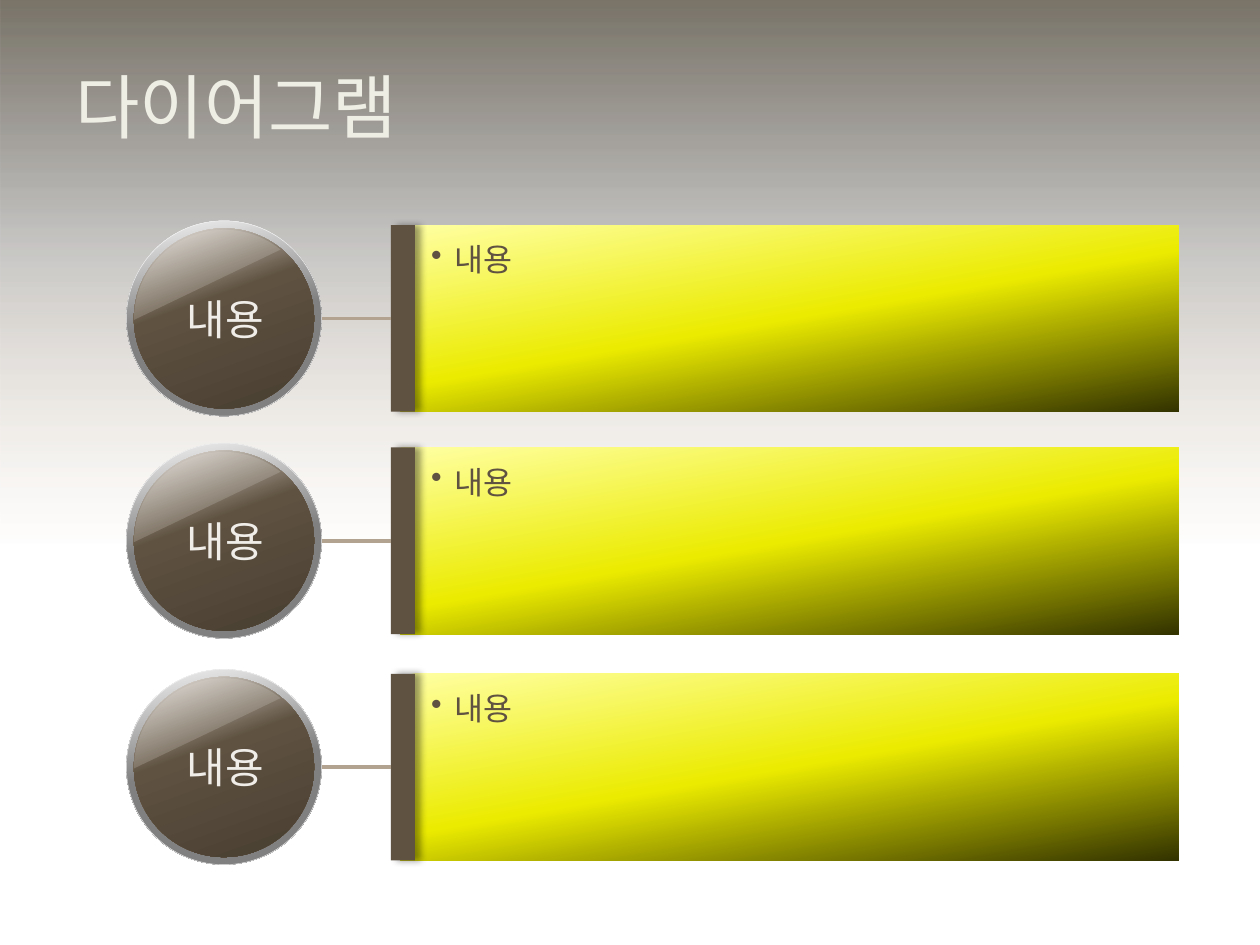
from dataclasses import dataclass

from lxml import etree
from pptx import Presentation
from pptx.dml.color import RGBColor
from pptx.enum.shapes import MSO_CONNECTOR, MSO_SHAPE
from pptx.enum.text import MSO_ANCHOR, PP_ALIGN
from pptx.oxml.ns import qn
from pptx.util import Pt

RECTANGLE, ELLIPSE, CHORD = MSO_SHAPE.RECTANGLE, MSO_SHAPE.OVAL, MSO_SHAPE.CHORD
STRAIGHT = MSO_CONNECTOR.STRAIGHT
TOP, MIDDLE = MSO_ANCHOR.TOP, MSO_ANCHOR.MIDDLE
LEFT, CENTER = PP_ALIGN.LEFT, PP_ALIGN.CENTER


@dataclass(frozen=True)
class Theme:
    title_font: str = "DejaVu Sans"
    body_font: str = "Arial"
    title_size: int = 40
    label_size: int = 24
    body_size: int = 18
    title_color: str = "EEEEE5"
    label_color: str = "F0EDE9"
    brown: str = "5F5241"
    link: str = "B2A390"
    gloss: str = "E3DDD5"
    rim: str = "F2F2F2"
    shadow: str = "000000"
    shade_stops: tuple = ((0, "1E1400", 59), (45, "0F0A00", 23), (100, "996633", 0))
    ring_stops: tuple = ((0, "F2F2F2", 100), (50, "808080", 100), (100, "808080", 100))
    disc_stops: tuple = ((0, "F1EEEA", 100), (40, "5F5241", 100), (100, "473E31", 100))
    panel_stops: tuple = ((0, "FFFFA3", 100), (50, "EBEB00", 100), (100, "333300", 100))


def add_color(parent, color, opacity):
    node = etree.SubElement(parent, qn("a:srgbClr"), val=color)
    if opacity < 100:
        etree.SubElement(node, qn("a:alpha"), val=str(opacity * 1000))


class SlideBuilder:
    def __init__(self, slide, theme):
        self.slide = slide
        self.theme = theme

    def format_text(self, frame, text, font, size, color, align, anchor):
        frame.word_wrap = True
        frame.vertical_anchor = anchor
        para = frame.paragraphs[0]
        para.text = text
        para.alignment = align
        para.font.name = font
        para.font.size = Pt(size)
        para.font.color.rgb = RGBColor.from_string(color)

    def title(self, text, left, top, width, height):
        box = self.slide.shapes.title
        box.left, box.top, box.width, box.height = map(Pt, (left, top, width, height))
        theme = self.theme
        self.format_text(box.text_frame, text, theme.title_font, theme.title_size,
                         theme.title_color, LEFT, MIDDLE)

    def shape(self, parent, kind, left, top, width, height):
        shape = parent.shapes.add_shape(kind, *map(Pt, (left, top, width, height)))
        shape.shadow.inherit = False
        shape.line.fill.background()
        return shape

    def solid(self, shape, color, opacity=100):
        shape.fill.solid()
        shape.fill.fore_color.rgb = RGBColor.from_string(color)
        if opacity < 100:
            node = shape.element.spPr.find(qn("a:solidFill"))[0]
            etree.SubElement(node, qn("a:alpha"), val=str(opacity * 1000))

    def gradient(self, shape, stops, angle):
        shape.fill.gradient()
        shape.fill.gradient_angle = 360 - angle
        stop_list = shape.element.spPr.find(qn("a:gradFill")).find(qn("a:gsLst"))
        for stop in list(stop_list):
            stop_list.remove(stop)
        for position, color, opacity in stops:
            stop = etree.SubElement(stop_list, qn("a:gs"), pos=str(position * 1000))
            add_color(stop, color, opacity)

    def shade(self, width, height):
        shape = self.shape(self.slide, RECTANGLE, 0, 0, width, height)
        self.gradient(shape, self.theme.shade_stops, 90)
        self.slide.shapes.title.element.addprevious(shape.element)

    def button(self, center_x, center_y):
        group = self.slide.shapes.add_group_shape()

        def circle(kind, size, drop=0):
            return self.shape(group, kind, center_x - size / 2,
                              center_y - size / 2 + drop, size, size)

        ring = circle(ELLIPSE, 111.6)
        self.gradient(ring, self.theme.ring_stops, 80)
        ring.line.color.rgb = RGBColor.from_string(self.theme.rim)
        ring.line.width = Pt(0.25)
        disc = circle(ELLIPSE, 103)
        self.gradient(disc, self.theme.disc_stops, 70)
        gloss = circle(CHORD, 103, 0.8)
        gloss.adjustments[0] = 53.946
        gloss.adjustments[1] = 131.298
        gloss.rotation = 90
        self.solid(gloss, self.theme.gloss, 20)

    def label(self, text, center_x, center_y, width=62, height=36):
        box = self.slide.shapes.add_textbox(
            Pt(center_x - width / 2), Pt(center_y - height / 2), Pt(width), Pt(height))
        theme = self.theme
        self.format_text(box.text_frame, text, theme.body_font, theme.label_size,
                         theme.label_color, CENTER, MIDDLE)
        box.text_frame.word_wrap = False

    def panel(self, text, center_y, height=106.6):
        theme = self.theme
        group = self.slide.shapes.add_group_shape()
        top = center_y - height / 2
        panel = self.shape(group, RECTANGLE, 229, top, 444.5, height)
        self.gradient(panel, theme.panel_stops, 80)
        frame = panel.text_frame
        frame.margin_left, frame.margin_top = Pt(17.3), Pt(8.6)
        frame.margin_right, frame.margin_bottom = Pt(7.2), Pt(3.6)
        properties = frame.paragraphs[0]._p.get_or_add_pPr()
        properties.set("marL", str(Pt(13.5)))
        properties.set("indent", str(-Pt(13.5)))
        etree.SubElement(properties, qn("a:buChar"), char="•")
        self.format_text(frame, text, theme.body_font, theme.body_size,
                         theme.brown, LEFT, TOP)
        bar = self.shape(group, RECTANGLE, 223.4, top, 13.7, height)
        self.solid(bar, theme.brown)
        effects = bar.element.spPr.find(qn("a:effectLst"))
        shadow = etree.SubElement(effects, qn("a:outerShdw"), blurRad=str(Pt(4)),
                                  dist=str(Pt(3)), dir="0", algn="l", rotWithShape="0")
        add_color(shadow, theme.shadow, 40)

    def link(self, start_x, end_x, center_y):
        line = self.slide.shapes.add_connector(
            STRAIGHT, Pt(start_x), Pt(center_y), Pt(end_x), Pt(center_y))
        line.line.color.rgb = RGBColor.from_string(self.theme.link)
        line.line.width = Pt(2.25)
        etree.SubElement(line.element.spPr, qn("a:effectLst"))


def main():
    deck = Presentation()
    deck.slide_width, deck.slide_height = Pt(720), Pt(540)
    builder = SlideBuilder(deck.slides.add_slide(deck.slide_layouts[5]), Theme())
    builder.shade(720, 312)
    builder.title("다이어그램", 36, 24, 648, 72.5)

    button_x = 128
    rows = ((182, "내용", "내용"), (309, "내용", "내용"), (438.3, "내용", "내용"))
    for center_y, label, content in rows:
        builder.button(button_x, center_y)
        builder.label(label, button_x + 0.9, center_y)
        builder.panel(content, center_y)
    for center_y, _, _ in rows:
        builder.link(184.3, 223.4, center_y)
    deck.save("out.pptx")


if __name__ == "__main__":
    main()
